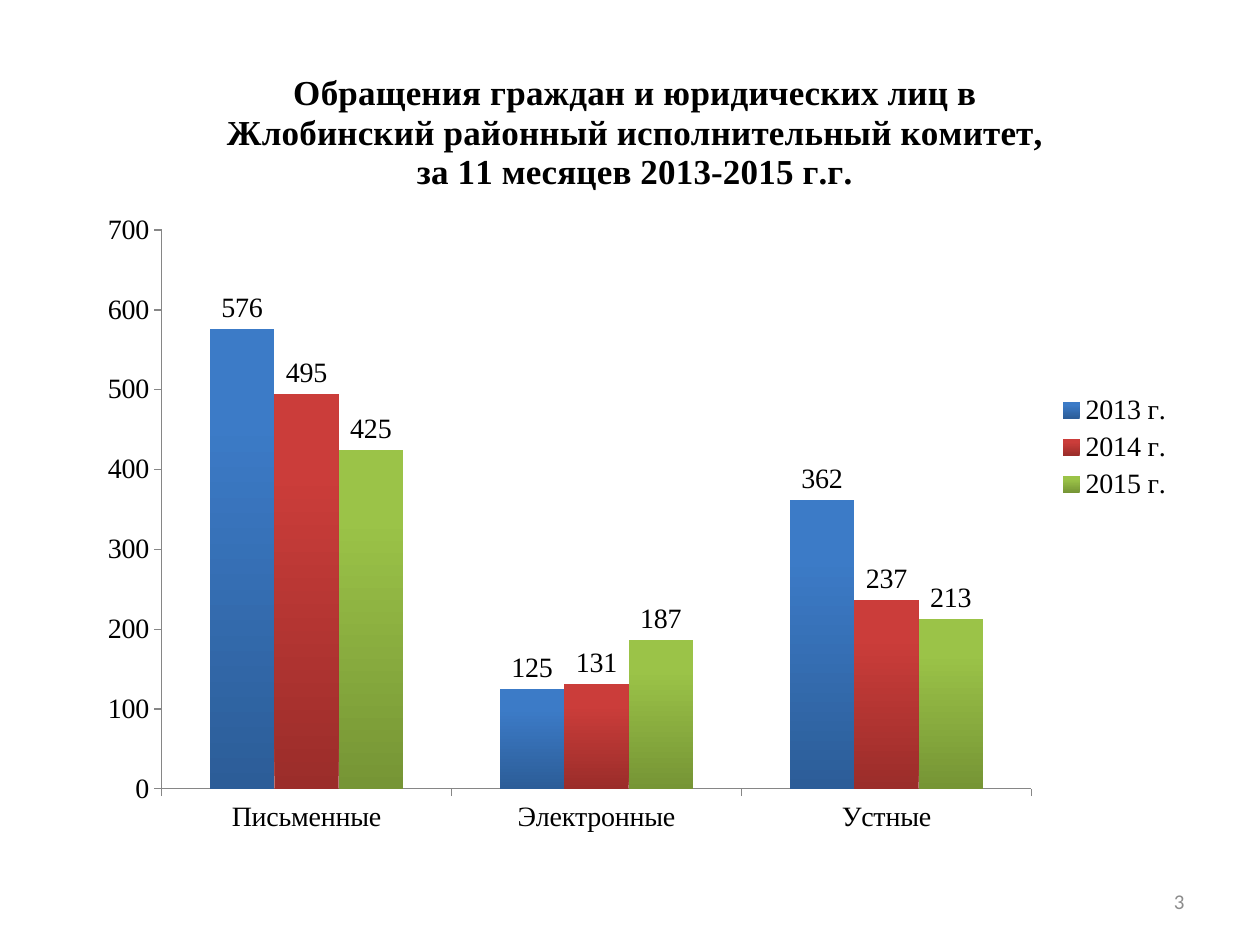
import pptx
import pptx.util
import pptx.chart.data
import pptx.dml.color
import pptx.enum.chart
import pptx.enum.text
import pptx.oxml
import pptx.oxml.ns

Inches = pptx.util.Inches
Pt = pptx.util.Pt
RGBColor = pptx.dml.color.RGBColor

COLORS = {"text": "000000", "axis": "868686", "number": "8C8C8C"}
TITLE_LINES = [
    "Обращения граждан и юридических лиц в Жлобинский районный исполнительный комитет,",
    "за 11 месяцев 2013-2015 г.г.",
]
# Name, values, bottom and top colour of the bars
SERIES = [
    ("2013 г.", (576, 125, 362), "2C5D98", "3C7BC7"),
    ("2014 г.", (495, 131, 237), "9B2D2A", "CB3D3A"),
    ("2015 г.", (425, 187, 213), "769535", "9BC348"),
]


def style_font(font, size, color, name="Times New Roman", bold=False):
    font.name = name
    font.size = Pt(size)
    font.bold = bold
    font.color.rgb = RGBColor.from_string(color)


presentation = pptx.Presentation()
presentation.slide_width = Inches(10)
presentation.slide_height = Inches(7.5)
slide = presentation.slides.add_slide(presentation.slide_layouts[6])

# Chart
chart_data = pptx.chart.data.CategoryChartData()
chart_data.categories = ["Письменные", "Электронные", "Устные"]
for name, values, bottom, top in SERIES:
    chart_data.add_series(name, values)
chart = slide.shapes.add_chart(
    pptx.enum.chart.XL_CHART_TYPE.COLUMN_CLUSTERED,
    Inches(0.67), Inches(0.36), Inches(8.74), Inches(6.38), chart_data,
).chart
style_font(chart.font, 16, COLORS["text"])

# Chart title
chart.has_title = True
title_frame = chart.chart_title.text_frame
title_frame.text = "\n".join(TITLE_LINES)
for paragraph in title_frame.paragraphs:
    style_font(paragraph.font, 20, COLORS["text"], bold=True)
chart.chart_title.include_in_layout = False

# Legend
chart.has_legend = True
chart.legend.position = pptx.enum.chart.XL_LEGEND_POSITION.RIGHT
chart.legend.include_in_layout = False

# Axes
for axis in (chart.category_axis, chart.value_axis):
    axis.has_major_gridlines = False
    axis.major_tick_mark = pptx.enum.chart.XL_TICK_MARK.OUTSIDE
    axis.minor_tick_mark = pptx.enum.chart.XL_TICK_MARK.NONE
    axis.format.line.color.rgb = RGBColor.from_string(COLORS["axis"])
    axis.format.line.width = Pt(0.75)
chart.value_axis.minimum_scale = 0
chart.value_axis.maximum_scale = 700
chart.value_axis.major_unit = 100

# Bars with value labels
plot = chart.plots[0]
plot.gap_width = 150
plot.overlap = 0
plot.vary_by_categories = False
plot.has_data_labels = True
plot.data_labels.show_value = True
plot.data_labels.position = pptx.enum.chart.XL_LABEL_POSITION.OUTSIDE_END
for series, (name, values, bottom, top) in zip(plot.series, SERIES):
    fill = series.format.fill
    fill.gradient()
    fill.gradient_angle = 90
    for stop, color, position in zip(fill.gradient_stops, (bottom, top), (0, 0.8)):
        stop.color.rgb = RGBColor.from_string(color)
        stop.position = position

# Plot area position as fractions of the chart
plot_area = chart.plots[0]._element.getparent()
for old_layout in plot_area.findall(pptx.oxml.ns.qn("c:layout")):
    plot_area.remove(old_layout)
fractions = {"x": 0.07, "y": 0.23, "w": 0.79, "h": 0.695}
plot_area.insert(0, pptx.oxml.parse_xml(
    f'<c:layout {pptx.oxml.ns.nsdecls("c")}><c:manualLayout>'
    '<c:layoutTarget val="inner"/><c:xMode val="edge"/><c:yMode val="edge"/>'
    + "".join(f'<c:{key} val="{value}"/>' for key, value in fractions.items())
    + "</c:manualLayout></c:layout>"
))

# Slide number
number_box = slide.shapes.add_textbox(Inches(7.17), Inches(6.95), Inches(2.33), Inches(0.4))
number_frame = number_box.text_frame
number_frame.word_wrap = True
number_frame.vertical_anchor = pptx.enum.text.MSO_ANCHOR.MIDDLE
paragraph = number_frame.paragraphs[0]
paragraph.text = "3"
paragraph.alignment = pptx.enum.text.PP_ALIGN.RIGHT
style_font(paragraph.font, 12, COLORS["number"], name="Calibri")

presentation.save("out.pptx")
